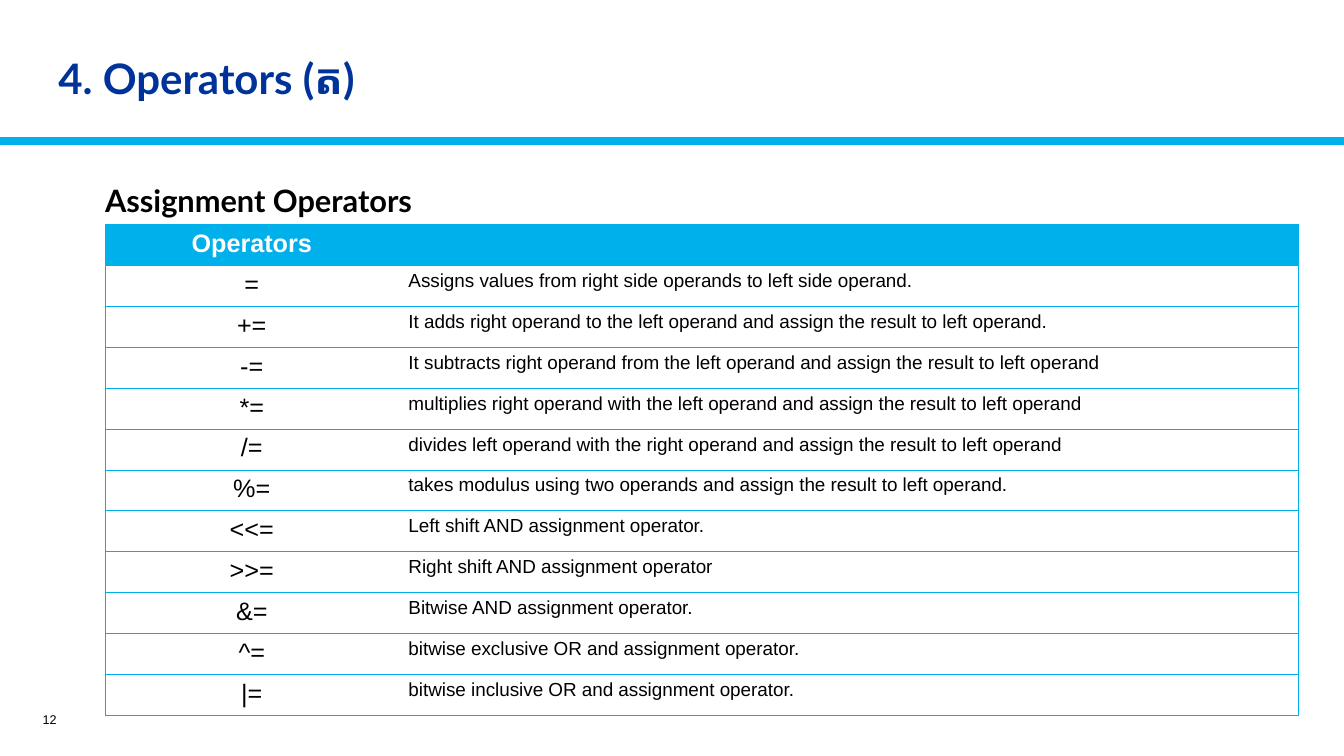
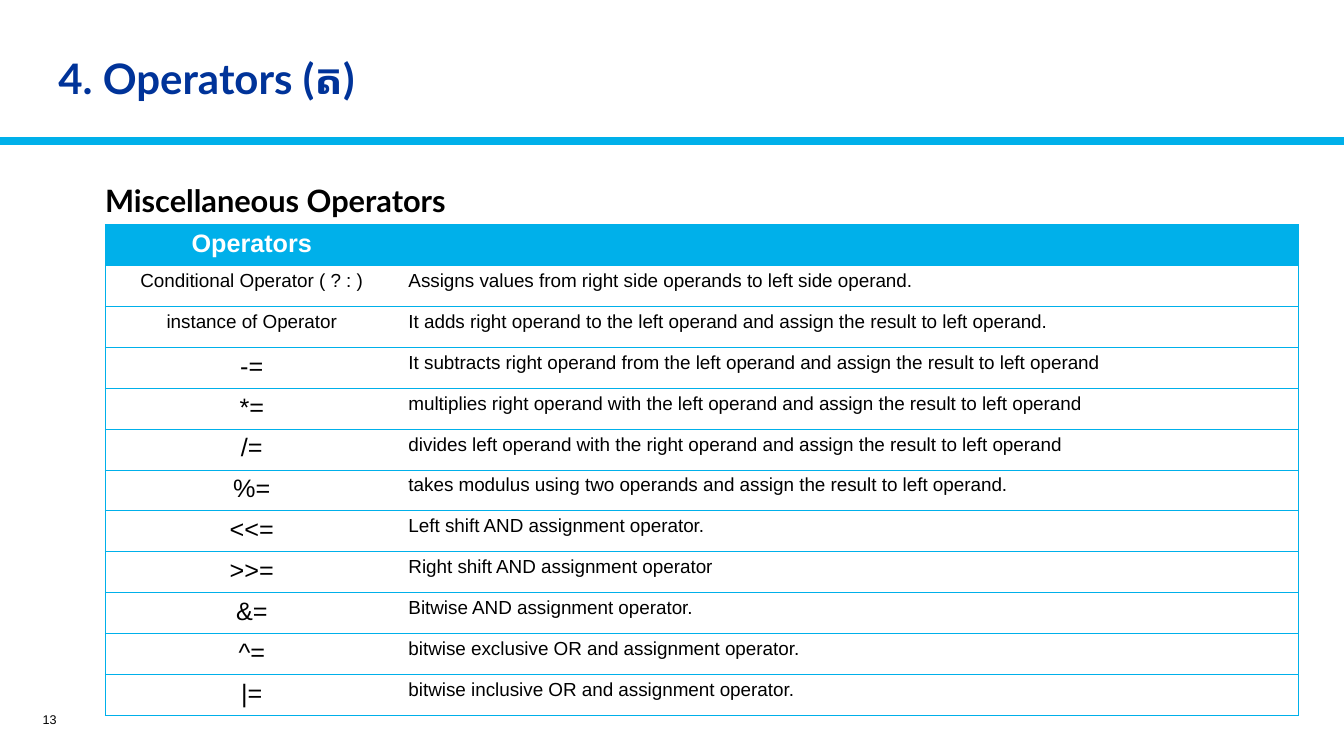
from lxml import etree
from pptx import Presentation, util as u
from pptx.dml import color
from pptx.enum import shapes, text
from pptx.oxml import ns

SLIDE_WIDTH, SLIDE_HEIGHT = u.Cm(33.87), u.Cm(19.05)
CYAN, NAVY, BLACK, WHITE = "00B0EA", "003399", "000000", "FFFFFF"
HEADING_FONT, BODY_FONT = "Lato", "Arial"
LEFT, CENTER, RIGHT = text.PP_ALIGN.LEFT, text.PP_ALIGN.CENTER, text.PP_ALIGN.RIGHT
TOP, MIDDLE = text.MSO_ANCHOR.TOP, text.MSO_ANCHOR.MIDDLE

TITLE = "4. Operators (ត)"
TITLE_BOX = (u.Cm(1.22), u.Cm(0.9), u.Cm(22.91), u.Cm(2.1))
HEADING_BOX = (u.Cm(2.4), u.Cm(4.45), u.Cm(28.5), u.Cm(1.2))
NUMBER_BOX = (u.Cm(0.23), u.Cm(17.75), u.Cm(1.45), u.Cm(0.76))
TABLE_BOX = (u.Cm(2.65), u.Cm(5.66), u.Cm(30.08), u.Cm(12.37))
RULE_TOP = u.Cm(3.56)
OPERATOR_WIDTH = u.Cm(7.39)
SYMBOL_SIZE, SENTENCE_SIZE = 18, 13.5

ASSIGNMENT_ROWS = [
    ("=", "Assigns values from right side operands to left side operand."),
    ("+=", "It adds right operand to the left operand and assign the result to left operand."),
    ("-=", "It subtracts right operand from the left operand and assign the result to left operand"),
    ("*=", "multiplies right operand with the left operand and assign the result to left operand"),
    ("/=", "divides left operand with the right operand and assign the result to left operand"),
    ("%=", "takes modulus using two operands and assign the result to left operand."),
    ("<<=", "Left shift AND assignment operator."),
    (">>=", "Right shift AND assignment operator"),
    ("&=", "Bitwise AND assignment operator."),
    ("^=", "bitwise exclusive OR and assignment operator."),
    ("|=", "bitwise inclusive OR and assignment operator."),
]
MISCELLANEOUS_NAMES = ["Conditional Operator ( ? : )", "instance of Operator"]
MISCELLANEOUS_ROWS = [
    (name, meaning) for name, (_, meaning) in zip(MISCELLANEOUS_NAMES, ASSIGNMENT_ROWS)
] + ASSIGNMENT_ROWS[len(MISCELLANEOUS_NAMES):]


def rgb(value):
    """Turn a hex string into a colour."""
    return color.RGBColor.from_string(value)


def write(frame, words, size, font, ink, bold=False, align=LEFT):
    """Put one formatted paragraph into a text frame."""
    frame.text = words
    paragraph = frame.paragraphs[0]
    paragraph.alignment = align
    for run in paragraph.runs:
        run.font.size = u.Pt(size)
        run.font.name = font
        run.font.bold = bold
        run.font.color.rgb = rgb(ink)


def add_label(slide, box, words, size, font, ink, bold=False, align=LEFT, anchor=TOP):
    """Add a wrapped text box."""
    frame = slide.shapes.add_textbox(*box).text_frame
    frame.word_wrap = True
    frame.vertical_anchor = anchor
    write(frame, words, size, font, ink, bold, align)


def add_rule(slide, top):
    """Draw the cyan rule across the slide."""
    rule = slide.shapes.add_connector(shapes.MSO_CONNECTOR.STRAIGHT, 0, top, SLIDE_WIDTH, top)
    rule.line.color.rgb = rgb(CYAN)
    rule.line.width = u.Pt(6)
    etree.SubElement(rule._element.spPr, ns.qn("a:effectLst"))


def set_borders(cell, visible):
    """Draw the named sides of a cell and hide the others."""
    properties = cell._tc.get_or_add_tcPr()
    for side in "LRTB":
        line = etree.SubElement(properties, ns.qn(f"a:ln{side}"), w=str(u.Pt(0.5)))
        if side in visible:
            fill = etree.SubElement(line, ns.qn("a:solidFill"))
            etree.SubElement(fill, ns.qn("a:srgbClr"), val=CYAN)
        else:
            etree.SubElement(line, ns.qn("a:noFill"))


def style_cell(cell, visible, fill):
    """Give a cell its borders and fill."""
    set_borders(cell, visible)
    cell.fill.solid()
    cell.fill.fore_color.rgb = rgb(fill)


def add_operator_table(slide, box, rows):
    """Add a table of operators and meanings under a cyan header."""
    left, top, width, height = box
    table = slide.shapes.add_table(len(rows) + 1, 2, left, top, width, height).table
    table.horz_banding = False
    table.columns[0].width = OPERATOR_WIDTH
    table.columns[1].width = width - OPERATOR_WIDTH
    for index, row in enumerate(table.rows):
        row.height = height // len(table.rows)
        for cell, side in zip(row.cells, "LR"):
            style_cell(cell, side + "TB", WHITE if index else CYAN)
    write(table.cell(0, 0).text_frame, "Operators", SYMBOL_SIZE, BODY_FONT, WHITE, True, CENTER)
    for index, (operator, meaning) in enumerate(rows, 1):
        size = SENTENCE_SIZE if operator in MISCELLANEOUS_NAMES else SYMBOL_SIZE
        write(table.cell(index, 0).text_frame, operator, size, BODY_FONT, BLACK, align=CENTER)
        write(table.cell(index, 1).text_frame, meaning, SENTENCE_SIZE, BODY_FONT, BLACK)


def add_operator_slide(presentation, number, heading, rows):
    """Add one slide with title, rule, heading, page number and table."""
    slide = presentation.slides.add_slide(presentation.slide_layouts[6])
    add_rule(slide, RULE_TOP)
    add_label(slide, TITLE_BOX, TITLE, 30, HEADING_FONT, NAVY, True, anchor=MIDDLE)
    add_label(slide, HEADING_BOX, heading, 22, HEADING_FONT, BLACK, True)
    add_label(slide, NUMBER_BOX, str(number), 9, BODY_FONT, BLACK, align=RIGHT, anchor=MIDDLE)
    add_operator_table(slide, TABLE_BOX, rows)


def main():
    """Build and save the presentation."""
    presentation = Presentation()
    presentation.slide_width, presentation.slide_height = SLIDE_WIDTH, SLIDE_HEIGHT
    add_operator_slide(presentation, 12, "Assignment Operators", ASSIGNMENT_ROWS)
    add_operator_slide(presentation, 13, "Miscellaneous Operators", MISCELLANEOUS_ROWS)
    presentation.save("out.pptx")


if __name__ == "__main__":
    main()
